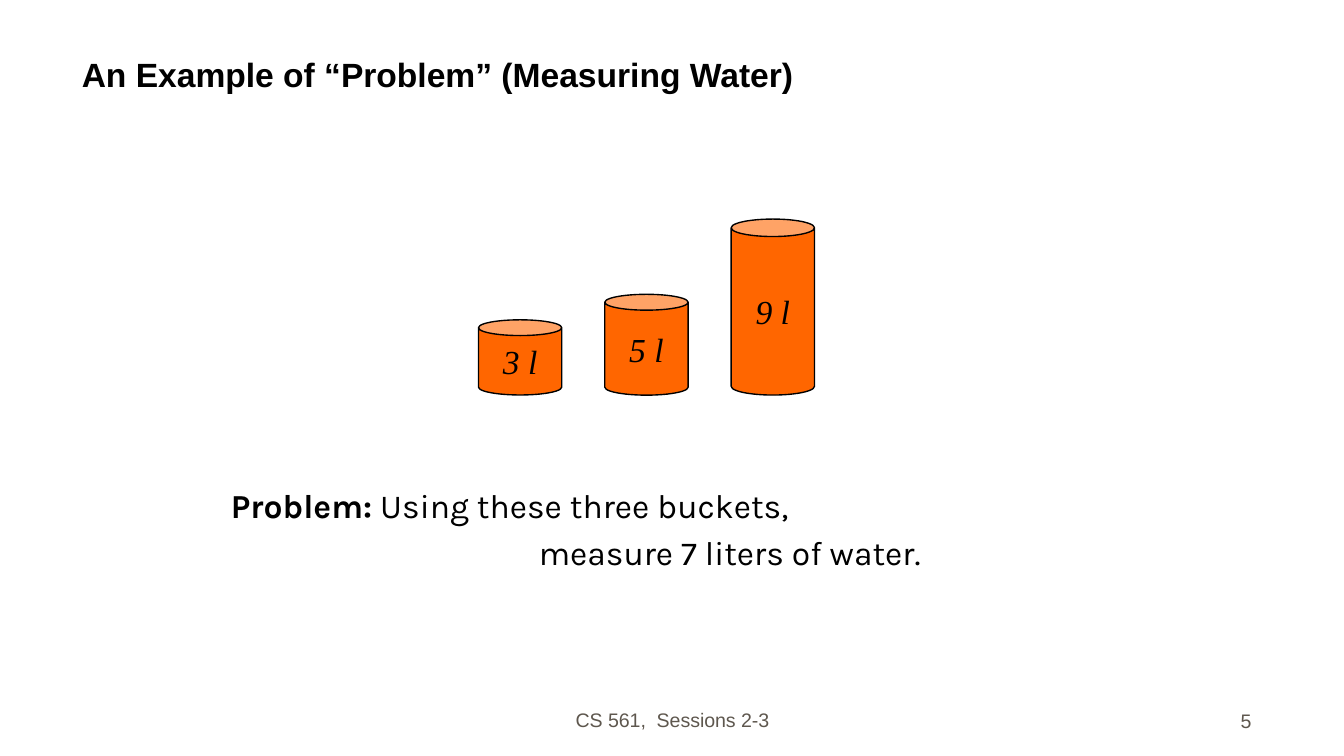
from dataclasses import dataclass

from pptx import Presentation
from pptx.dml.color import RGBColor
from pptx.enum.shapes import MSO_SHAPE
from pptx.enum.text import MSO_ANCHOR, PP_ALIGN
from pptx.util import Inches, Pt


@dataclass(frozen=True)
class Theme:
    ink: RGBColor = RGBColor(0x00, 0x00, 0x00)
    muted: RGBColor = RGBColor(0x5E, 0x57, 0x4E)
    bucket: RGBColor = RGBColor(0xFF, 0x66, 0x00)
    heading_font: str = "Arial"
    body_font: str = "Karla"
    label_font: str = "Times New Roman"
    main_size: float = 18
    footer_size: float = 10.5
    outline: float = 0.75


class SlideBuilder:
    def __init__(self, slide, theme):
        self.slide = slide
        self.theme = theme

    def add_run(self, paragraph, text, font, size=None, color=None, bold=False, italic=False):
        run = paragraph.add_run()
        run.text = text
        run.font.name = font
        run.font.size = Pt(size or self.theme.main_size)
        run.font.color.rgb = color or self.theme.ink
        run.font.bold = bold
        run.font.italic = italic

    def text_frame(self, left, top, width, height, anchor):
        box = self.slide.shapes.add_textbox(
            Inches(left), Inches(top), Inches(width), Inches(height))
        frame = box.text_frame
        frame.word_wrap = True
        frame.vertical_anchor = anchor
        return frame

    def title(self, text):
        frame = self.text_frame(0.51, 0.19, 8.92, 0.56, MSO_ANCHOR.BOTTOM)
        self.add_run(frame.paragraphs[0], text, self.theme.heading_font, bold=True)

    def footer(self, text, left, top, width, align):
        frame = self.text_frame(left, top, width, 0.38, MSO_ANCHOR.BOTTOM)
        frame.paragraphs[0].alignment = align
        self.add_run(frame.paragraphs[0], text, self.theme.heading_font,
                     self.theme.footer_size, self.theme.muted)

    def statement(self, lead, first_line, second_line):
        frame = self.text_frame(1.62, 3.56, 6.71, 0.56, MSO_ANCHOR.TOP)
        task = frame.paragraphs[0]
        self.add_run(task, lead, self.theme.body_font, bold=True)
        self.add_run(task, first_line, self.theme.body_font)
        goal = frame.add_paragraph()
        goal.space_before = Pt(3.6)
        goal._p.get_or_add_pPr().set("marL", str(Inches(2.29)))
        self.add_run(goal, second_line, self.theme.body_font)

    def bucket(self, label, left, bottom, height, rim):
        can = self.slide.shapes.add_shape(
            MSO_SHAPE.CAN, Inches(left), Inches(bottom - height),
            Inches(0.62), Inches(height))
        can.adjustments[0] = rim
        can.shadow.inherit = False
        can.fill.solid()
        can.fill.fore_color.rgb = self.theme.bucket
        can.line.color.rgb = self.theme.ink
        can.line.width = Pt(self.theme.outline)
        frame = can.text_frame
        frame.word_wrap = False
        frame.vertical_anchor = MSO_ANCHOR.MIDDLE
        frame.paragraphs[0].alignment = PP_ALIGN.CENTER
        self.add_run(frame.paragraphs[0], label, self.theme.label_font, italic=True)


def main():
    # Widescreen slide, 16 by 9
    deck = Presentation()
    deck.slide_width = Inches(10)
    deck.slide_height = Inches(10 * 9 / 16)
    builder = SlideBuilder(deck.slides.add_slide(deck.slide_layouts[6]), Theme())

    # Footer and page number
    builder.footer("CS 561,  Sessions 2-3", 3.42, 5.11, 3.17, PP_ALIGN.CENTER)
    builder.footer("5", 7.33, 5.12, 2.08, PP_ALIGN.RIGHT)

    # Title and problem statement
    builder.title("An Example of “Problem” (Measuring Water)")
    builder.statement("Problem:", " Using these three buckets,", "measure 7 liters of water.")

    # Buckets standing on one base line, evenly spaced
    buckets = [("3 l", 0.56, 0.21), ("5 l", 0.75, 0.19), ("9 l", 1.31, 0.21)]
    for index, (label, height, rim) in enumerate(buckets):
        builder.bucket(label, 3.56 + 0.94 * index, 2.94, height, rim)

    deck.save("out.pptx")


if __name__ == "__main__":
    main()
